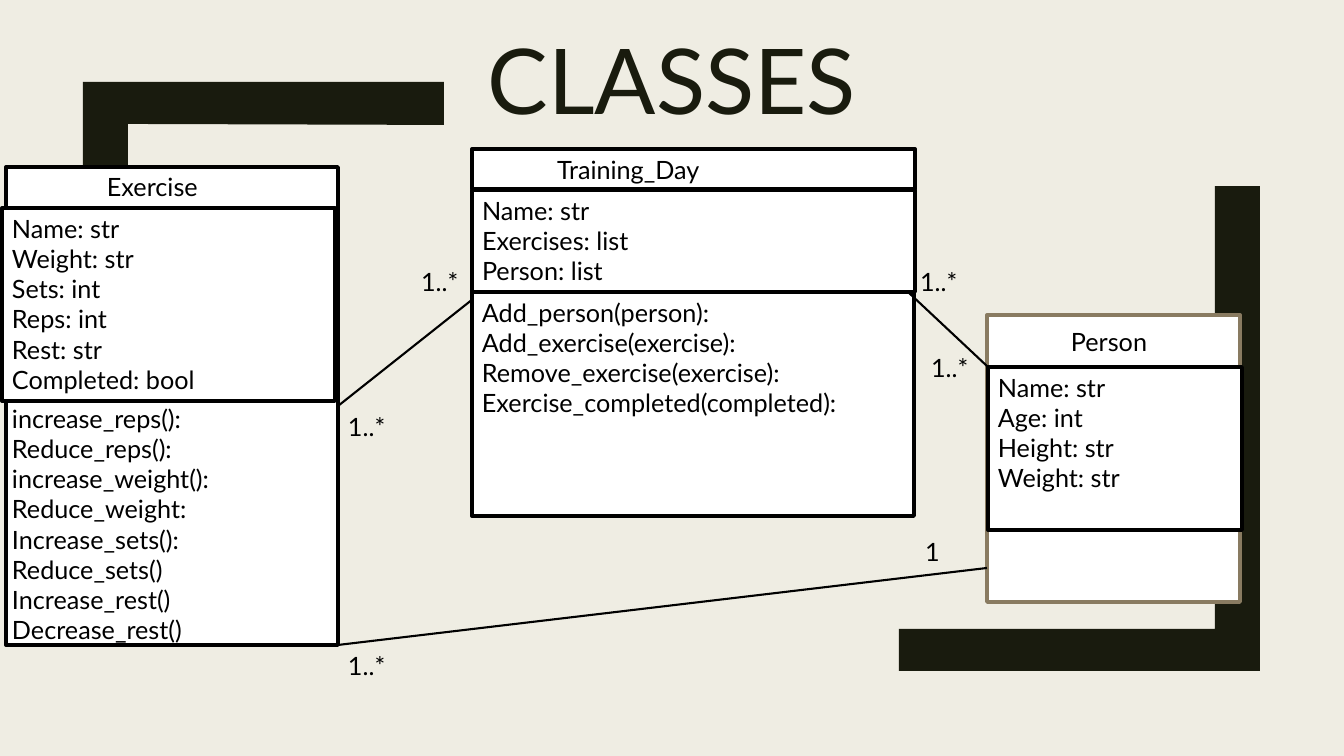
from lxml.etree import SubElement
from pptx import Presentation
from pptx.dml.color import RGBColor
from pptx.enum.shapes import MSO_CONNECTOR, MSO_SHAPE
from pptx.enum.text import MSO_ANCHOR, PP_ALIGN
from pptx.oxml.ns import qn
from pptx.util import Pt

PX = 914400 / 100.8
FONT = "Lato"
PAPER = RGBColor(0xEF, 0xED, 0xE3)
INK = RGBColor(0x19, 0x1B, 0x0E)
TAN = RGBColor(0x89, 0x7B, 0x61)
BLACK = RGBColor(0, 0, 0)
WHITE = RGBColor(255, 255, 255)
INSET = 10

BRACKETS = [
    [(1215, 186), (1260, 186), (1260, 671), (899, 671), (899, 629), (1215, 629)],
    [(128, 568), (83, 568), (83, 82), (444, 82), (444, 125), (128, 124)],
]

TITLE = "CLASSES"
TITLE_AREA = (168, 40, 1008, 99)

# (left, top, width, height), border or None, left inset, lines
COMPARTMENTS = [
    ((987, 315, 253, 287), TAN, INSET, []),
    ((1011, 321, 204, 40), None, 60, ["Person"]),
    ((988, 367, 254, 163), BLACK, INSET,
     ["Name: str", "Age: int", "Height: str", "Weight: str"]),
    ((6, 167, 332, 478), BLACK, INSET, []),
    ((6, 166, 304, 40), None, 101, ["Exercise"]),
    ((2, 208, 333, 193), BLACK, INSET,
     ["Name: str", "Weight: str", "Sets: int", "Reps: int", "Rest: str",
      "Completed: bool"]),
    ((2, 398, 323, 254), None, INSET,
     ["increase_reps():", "Reduce_reps():", "increase_weight():",
      "Reduce_weight:", "Increase_sets():", "Reduce_sets()",
      "Increase_rest()", "Decrease_rest()"]),
    ((472, 149, 443, 40), BLACK, 85, ["Training_Day"]),
    ((472, 190, 443, 102), BLACK, INSET,
     ["Name: str", "Exercises: list", "Person: list"]),
    ((472, 292, 442, 224), BLACK, INSET,
     ["Add_person(person):", "Add_exercise(exercise):",
      "Remove_exercise(exercise):", "Exercise_completed(completed):"]),
]

ASSOCIATIONS = [
    (908, 292, 988, 367),
    (338, 406, 473, 299),
    (338, 645, 987, 568),
]

MANY = "1..*"
MULTIPLICITIES = [
    (921, 347, MANY), (910, 261, MANY), (915, 531, "1"),
    (338, 645, MANY), (338, 406, MANY), (411, 261, MANY),
]
MULTIPLICITY_SIZE = (66, 40)


def emu(*pixels):
    """Turn pixels into a list of EMU lengths."""
    return [round(p * PX) for p in pixels]


def write(frame, lines, size=18, color=BLACK, inset=INSET):
    """Put each line in its own paragraph, one run each."""
    frame.word_wrap = True
    frame.vertical_anchor = MSO_ANCHOR.TOP
    frame.margin_left = emu(inset)[0]
    for index, line in enumerate(lines):
        paragraph = frame.add_paragraph() if index else frame.paragraphs[0]
        paragraph.alignment = PP_ALIGN.LEFT
        run = paragraph.add_run()
        run.text = line
        run.font.name, run.font.size = FONT, Pt(size)
        run.font.color.rgb = color


def paint(shape, fill, border=None):
    """Give a shape a flat fill and an optional border."""
    shape.shadow.inherit = False
    shape.fill.solid()
    shape.fill.fore_color.rgb = fill
    if border is None:
        shape.line.fill.background()
    else:
        shape.line.color.rgb = border
        shape.line.width = Pt(2.75)


def add_bracket(shapes, corners):
    """Draw one corner bracket."""
    builder = shapes.build_freeform(*corners[0], scale=PX)
    builder.add_line_segments(corners[1:], close=True)
    paint(builder.convert_to_shape(), INK)


def add_title(shapes):
    """Draw the slide title."""
    frame = shapes.add_textbox(*emu(*TITLE_AREA)).text_frame
    write(frame, [TITLE], 64.8, INK)
    frame.vertical_anchor = MSO_ANCHOR.BOTTOM
    frame.paragraphs[0].alignment = PP_ALIGN.CENTER
    frame.paragraphs[0].line_spacing = 0.89


def add_compartment(shapes, area, border, inset, lines):
    """Draw one part of a class: a bordered box or bare text."""
    if border is None:
        part = shapes.add_textbox(*emu(*area))
    else:
        part = shapes.add_shape(MSO_SHAPE.RECTANGLE, *emu(*area))
        paint(part, WHITE, border)
    write(part.text_frame, lines, inset=inset)


def add_association(shapes, ends):
    """Draw the line between two classes."""
    link = shapes.add_connector(MSO_CONNECTOR.STRAIGHT, *emu(*ends))
    link.line.color.rgb = BLACK
    link.line.width = Pt(1.5)
    SubElement(link._element.spPr, qn("a:effectLst"))


deck = Presentation()
deck.slide_width, deck.slide_height = emu(1344, 756)
slide = deck.slides.add_slide(deck.slide_layouts[6])
slide.background.fill.solid()
slide.background.fill.fore_color.rgb = PAPER

for bracket in BRACKETS:
    add_bracket(slide.shapes, bracket)
add_title(slide.shapes)
for compartment in COMPARTMENTS:
    add_compartment(slide.shapes, *compartment)
for association in ASSOCIATIONS:
    add_association(slide.shapes, association)
for left, top, multiplicity in MULTIPLICITIES:
    label = slide.shapes.add_textbox(*emu(left, top, *MULTIPLICITY_SIZE))
    write(label.text_frame, [multiplicity])

deck.save("out.pptx")
